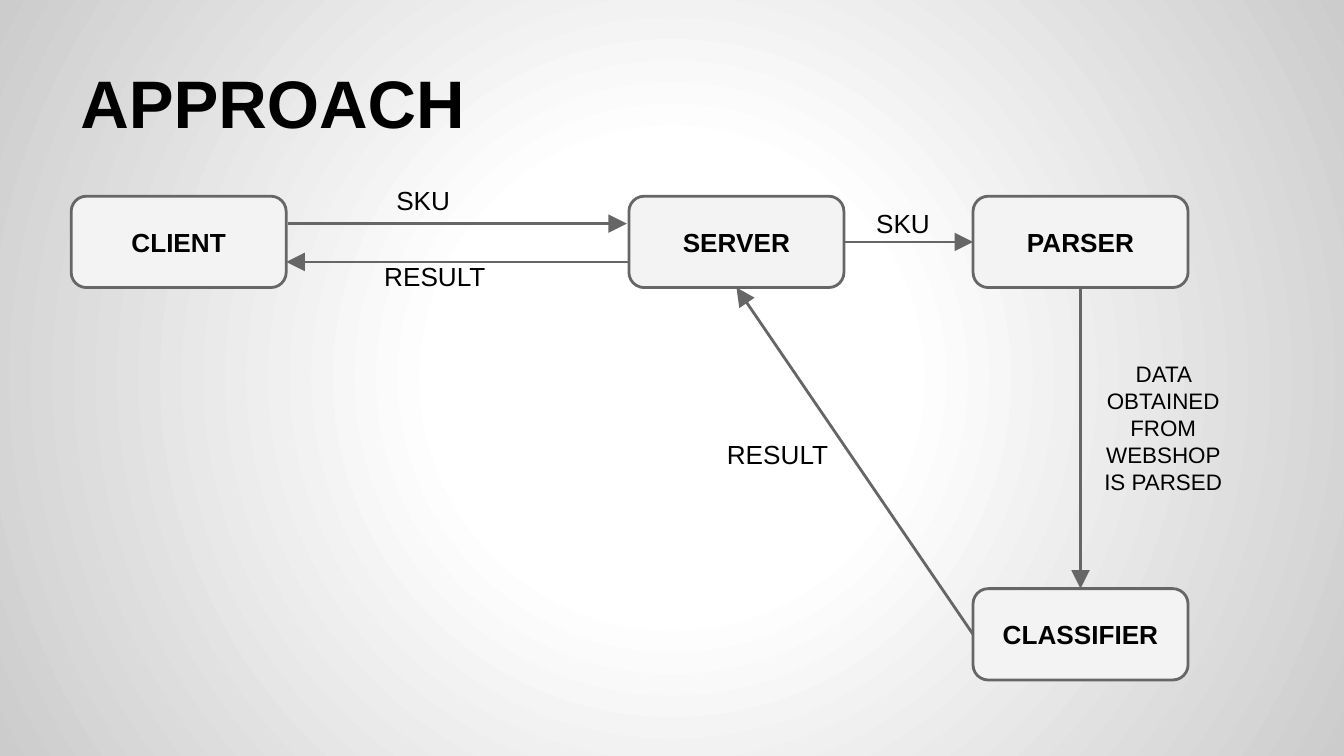
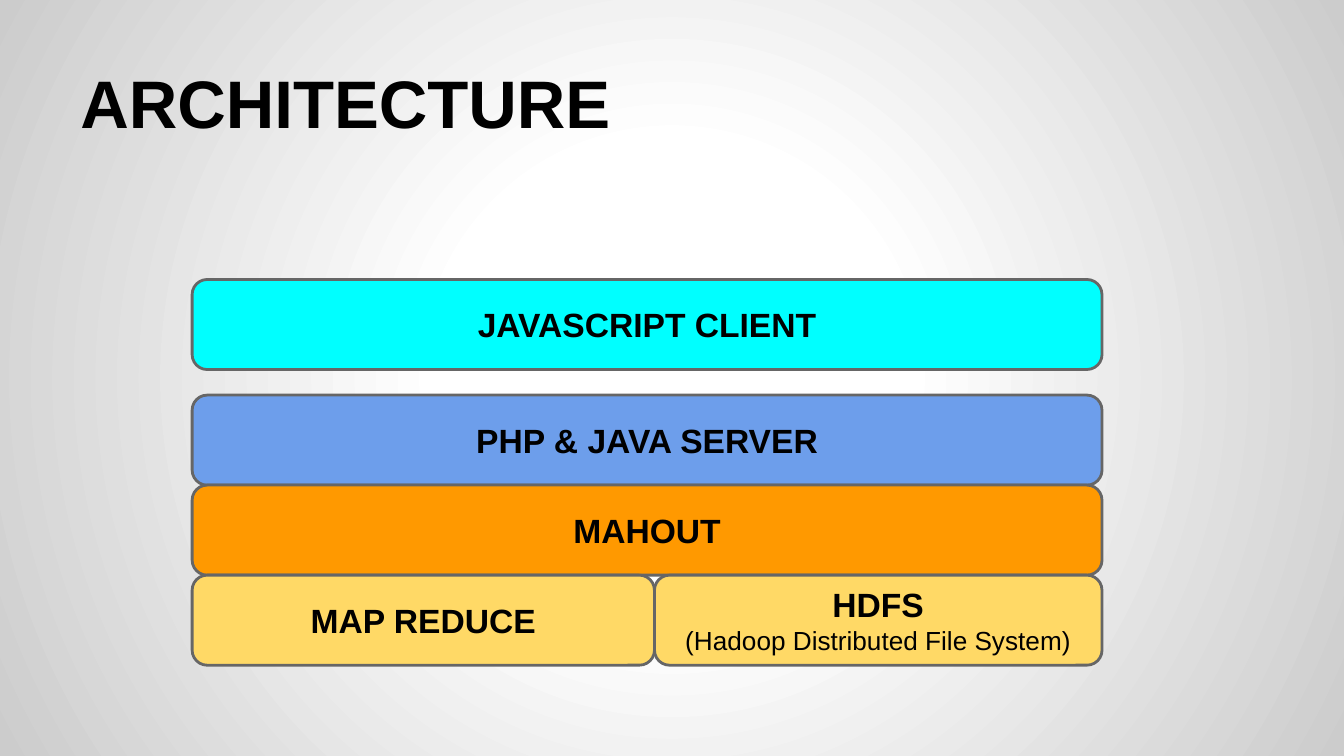
"""Build two slides: the approach flow and the architecture stack."""
from pptx import Presentation
from pptx.dml.color import RGBColor
from pptx.enum.shapes import MSO_CONNECTOR, MSO_SHAPE
from pptx.enum.text import MSO_ANCHOR, PP_ALIGN
from pptx.oxml import parse_xml
from pptx.oxml.ns import nsdecls, qn
from pptx.util import Inches, Pt
from lxml.etree import SubElement

HUES = {
    "ink": "000000", "line": "666666", "pale": "F3F3F3",
    "glow": "FFFFFF", "rim": "CCCCCC", "cyan": "00FFFF",
    "blue": "6D9EEB", "orange": "FF9900", "yellow": "FFD966",
}
FONT = "Arial"
STROKE = 1.5

NODE_SIZE = (1.6, 0.68)
NODES = {
    "CLIENT": (0.53, 1.46),
    "SERVER": (4.68, 1.46),
    "PARSER": (7.24, 1.46),
    "CLASSIFIER": (7.24, 4.38),
}
LINKS = [
    (("CLIENT", 1.01, 0.3), ("SERVER", -0.01, 0.3)),
    (("SERVER", 0, 0.72), ("CLIENT", 1, 0.72)),
    (("SERVER", 1, 0.5), ("PARSER", 0, 0.5)),
    (("PARSER", 0.5, 1), ("CLASSIFIER", 0.5, 0)),
    (("CLASSIFIER", 0, 0.5), ("SERVER", 0.5, 1)),
]
LABELS = [
    ("SKU", 2.85, 1.3, 1.11, 14, "left"),
    ("SKU", 6.42, 1.47, 0.69, 14, "left"),
    ("DATA OBTAINED FROM WEBSHOP IS PARSED", 8.1, 2.61, 1.11, 12, "center"),
    ("RESULT", 5.31, 3.19, 1.11, 14, "left"),
    ("RESULT", 2.76, 1.87, 1.11, 14, "left"),
]

STACK_LEFT, STACK_TOP, TIER_HIGH = 1.43, 2.08, 0.67
TIERS = [
    (0, "cyan", [(6.77, ["JAVASCRIPT CLIENT"])]),
    (0.19, "blue", [(6.77, ["PHP & JAVA SERVER"])]),
    (0, "orange", [(6.77, ["MAHOUT"])]),
    (0, "yellow", [(3.44, ["MAP REDUCE"]),
                   (3.33, ["HDFS", "(Hadoop Distributed File System)"])]),
]

ALIGNS = {"left": PP_ALIGN.LEFT, "center": PP_ALIGN.CENTER}
ANCHORS = {"top": MSO_ANCHOR.TOP, "middle": MSO_ANCHOR.MIDDLE,
           "bottom": MSO_ANCHOR.BOTTOM}


def tone(name):
    return RGBColor.from_string(HUES[name])


def write(shape, lines, size=14, bold=False, align="left", anchor="top",
          sub=14):
    frame = shape.text_frame
    frame.word_wrap = True
    frame.vertical_anchor = ANCHORS[anchor]
    frame.margin_left = frame.margin_right = Inches(0.1)
    frame.margin_top = frame.margin_bottom = Inches(0.1)
    for rank, line in enumerate(lines):
        para = frame.add_paragraph() if rank else frame.paragraphs[0]
        para.alignment = ALIGNS[align]
        run = para.add_run()
        run.text = line
        run.font.name = FONT
        run.font.size = Pt(sub if rank else size)
        run.font.bold = bold and not rank
        run.font.color.rgb = tone("ink")


def add_text(slide, lines, left, top, wide, high, **style):
    area = [Inches(v) for v in (left, top, wide, high)]
    write(slide.shapes.add_textbox(*area), lines, **style)


def add_box(slide, lines, left, top, wide, high, fill, size):
    area = [Inches(v) for v in (left, top, wide, high)]
    box = slide.shapes.add_shape(MSO_SHAPE.ROUNDED_RECTANGLE, *area)
    box.shadow.inherit = False
    box.adjustments[0] = 0.167
    box.fill.solid()
    box.fill.fore_color.rgb = tone(fill)
    box.line.color.rgb = tone("line")
    box.line.width = Pt(STROKE)
    write(box, lines, size=size, bold=True, align="center", anchor="middle")


def add_arrow(slide, start, end):
    ends = [Inches(v) for v in (*start, *end)]
    arrow = slide.shapes.add_connector(MSO_CONNECTOR.STRAIGHT, *ends)
    arrow.line.color.rgb = tone("line")
    arrow.line.width = Pt(STROKE)
    props = arrow.element.spPr
    SubElement(props.find(qn("a:ln")), qn("a:tailEnd"),
               type="triangle", w="lg", len="lg")
    SubElement(props, qn("a:effectLst"))


def paint(master):
    master.background.fill.solid()
    stops = "".join(
        f'<a:gs pos="{pos * 1000}"><a:srgbClr val="{HUES[hue]}"/></a:gs>'
        for pos, hue in ((0, "glow"), (30, "glow"), (100, "rim")))
    props = master.element.find(".//" + qn("p:bgPr"))
    props.replace(props[0], parse_xml(
        f'<a:gradFill {nsdecls("a")}><a:gsLst>{stops}</a:gsLst>'
        '<a:path path="circle"><a:fillToRect l="50000" t="50000" '
        'r="50000" b="50000"/></a:path></a:gradFill>'))


def add_slide(deck, title):
    slide = deck.slides.add_slide(deck.slide_layouts[6])
    add_text(slide, [title], 0.5, 0.22, 9, 0.94,
             size=36, bold=True, anchor="bottom")
    return slide


def port(name, across, down):
    left, top = NODES[name]
    return left + across * NODE_SIZE[0], top + down * NODE_SIZE[1]


def draw_flow(slide):
    for name, spot in NODES.items():
        add_box(slide, [name], *spot, *NODE_SIZE, "pale", 14)
    for start, end in LINKS:
        add_arrow(slide, port(*start), port(*end))
    for words, left, top, wide, size, align in LABELS:
        add_text(slide, [words], left, top, wide, 0.17,
                 size=size, align=align)


def draw_stack(slide):
    top = STACK_TOP
    for gap, fill, cells in TIERS:
        top += gap
        left = STACK_LEFT
        for wide, lines in cells:
            add_box(slide, lines, left, top, wide, TIER_HIGH, fill, 18)
            left += wide
        top += TIER_HIGH


deck = Presentation()
deck.slide_width = Inches(10)
deck.slide_height = deck.slide_width * 9 // 16
paint(deck.slide_master)
draw_flow(add_slide(deck, "APPROACH"))
draw_stack(add_slide(deck, "ARCHITECTURE"))
deck.save("out.pptx")
